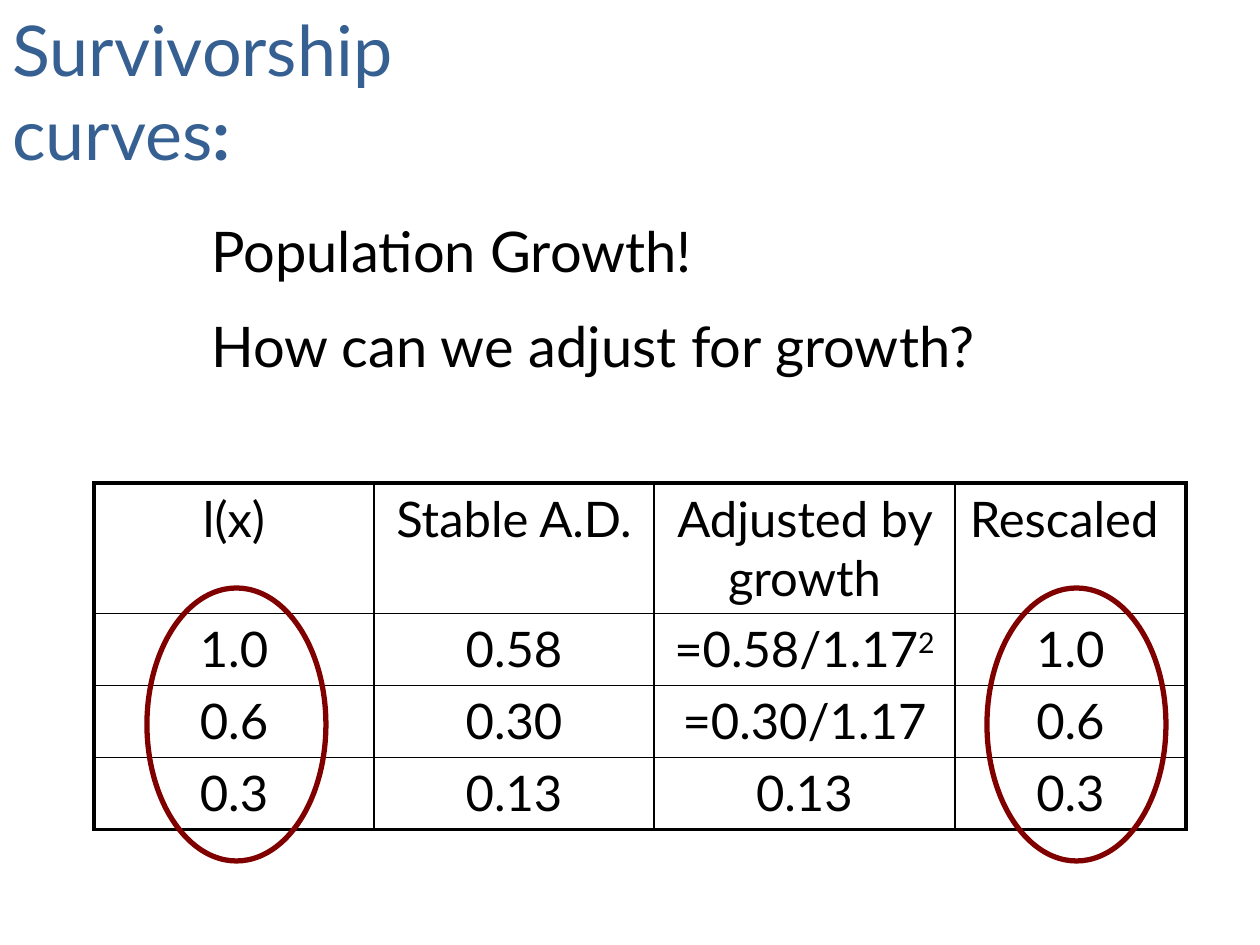
from lxml import etree
from pptx import Presentation
from pptx import util as u
from pptx.dml.color import RGBColor
from pptx.enum import shapes, text
from pptx.oxml.ns import qn

TITLE = [[("Survivorship", {})], [("curves", {}), (":", {"bold": True})]]
POINTS = [[("Population Growth!", {})], [("How can we adjust for growth?", {})]]
ROWS = [
    ["l(x)", "Stable A.D.", "Adjusted by growth", "Rescaled "],
    ["1.0", "0.58", "=0.58/1.17^2", "1.0"],
    ["0.6", "0.30", "=0.30/1.17", "0.6"],
    ["0.3", "0.13", "0.13", "0.3"],
]
COLUMN_WIDTHS = [280, 280, 301, 231]
ROW_HEIGHTS = [130, 72, 72, 72]
TABLE_LEFT, TABLE_TOP = 94, 483
RING_LEFTS = [147, 987]
RING_TOP, RING_WIDTH, RING_HEIGHT = 588, 179, 273
BLACK, BLUE, MAROON = "000000", "376092", "800000"
OUTER, INNER = 2.25, 1


def px(*lengths):
    return [u.Emu(round(length * 914400 / 126)) for length in lengths]


def color(value):
    return RGBColor.from_string(value)


def apply(target, values):
    for key, value in values.items():
        setattr(target, key, value)


def write(paragraph, runs, size, ink):
    for words, extra in runs:
        run = paragraph.add_run()
        run.text = words
        apply(run.font, {"name": "Lato", "size": u.Pt(size), **extra})
        run.font.color.rgb = color(ink)


def add_text(slide, box, lines, size, ink, wrap, gap):
    frame = slide.shapes.add_textbox(*px(*box)).text_frame
    apply(frame, {"word_wrap": wrap, "auto_size": text.MSO_AUTO_SIZE.SHAPE_TO_FIT_TEXT})
    for i, runs in enumerate(lines):
        paragraph = frame.add_paragraph() if i else frame.paragraphs[0]
        if i:
            paragraph.space_before = u.Pt(gap)
        write(paragraph, runs, size, ink)


def set_borders(cell, widths):
    properties = cell._tc.get_or_add_tcPr()
    for i, (side, width) in enumerate(widths.items()):
        line = etree.Element(qn(f"a:ln{side}"), w=str(u.Pt(width)))
        fill = etree.SubElement(line, qn("a:solidFill"))
        etree.SubElement(fill, qn("a:srgbClr"), val=BLACK)
        properties.insert(i, line)


def add_life_table(slide):
    last_row, last_column = len(ROWS) - 1, len(COLUMN_WIDTHS) - 1
    box = px(TABLE_LEFT, TABLE_TOP, sum(COLUMN_WIDTHS), sum(ROW_HEIGHTS))
    table = slide.shapes.add_table(len(ROWS), len(COLUMN_WIDTHS), *box).table
    apply(table, {"first_row": False, "horz_banding": False})
    for column, width in zip(table.columns, px(*COLUMN_WIDTHS)):
        column.width = width
    for row, height in zip(table.rows, px(*ROW_HEIGHTS)):
        row.height = height
    for r, values in enumerate(ROWS):
        for c, value in enumerate(values):
            cell = table.cell(r, c)
            cell.fill.background()
            edges = {"L": c == 0, "R": c == last_column, "T": r == 0, "B": r == last_row}
            set_borders(cell, {side: OUTER if edge else INNER for side, edge in edges.items()})
            paragraph = cell.text_frame.paragraphs[0]
            paragraph.alignment = text.PP_ALIGN.CENTER
            base, _, exponent = value.partition("^")
            write(paragraph, [(base, {})], 28, BLACK)
            if exponent:
                write(paragraph, [(exponent, {})], 28, BLACK)
                paragraph.runs[-1].font._element.set("baseline", "30000")


def add_ring(slide, left):
    box = px(left, RING_TOP, RING_WIDTH, RING_HEIGHT)
    ring = slide.shapes.add_shape(shapes.MSO_SHAPE.OVAL, *box)
    ring.shadow.inherit = False
    ring.fill.background()
    ring.line.color.rgb = color(MAROON)
    ring.line.width = u.Pt(3)


def main():
    deck = Presentation()
    deck.slide_width, deck.slide_height = px(1260, 945)
    slide = deck.slides.add_slide(deck.slide_layouts[6])
    add_text(slide, (199, 210, 1008, 180), POINTS, 32, BLACK, True, 16)
    add_life_table(slide)
    for left in RING_LEFTS:
        add_ring(slide, left)
    add_text(slide, (0, 0, 407, 183), TITLE, 40, BLUE, False, 0)
    deck.save("out.pptx")


if __name__ == "__main__":
    main()
